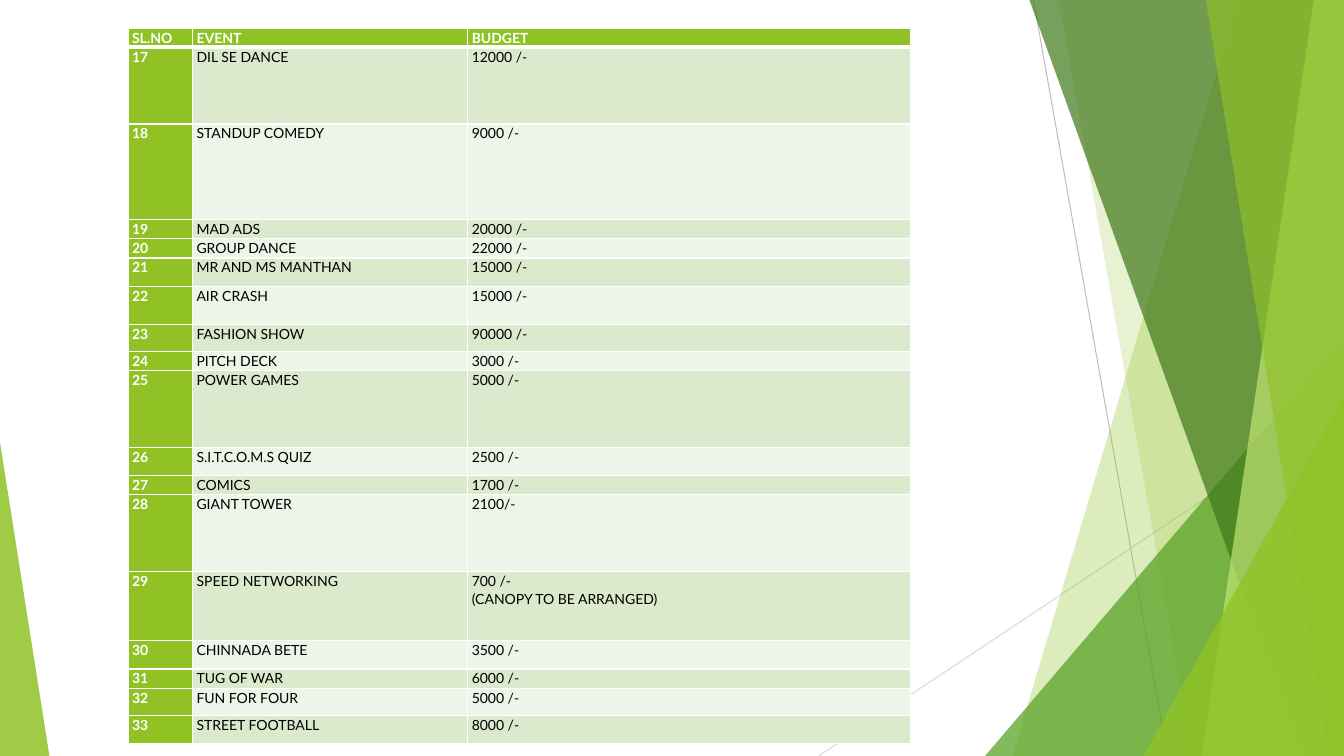
from pptx import Presentation
from pptx import util as u
from pptx.dml.color import RGBColor
from pptx.enum import shapes
from pptx.oxml import parse_xml
from pptx.oxml.ns import nsdecls, qn
from lxml import etree

WIDTH, HEIGHT = 13.33, 7.5
GREEN, WHITE, BLACK = "90C226", "FFFFFF", "000000"
BANDS = ("DBE9CD", "EEF4E8")
FONT = "Lato"

# Number, event, budget, row height
HEADER = ("SL.NO", "EVENT", "BUDGET", 0.19)
EVENTS = [
    ("17", "DIL SE DANCE", "12000 /-", 0.76),
    ("18", "STANDUP COMEDY", "9000 /-", 0.95),
    ("19", "MAD ADS", "20000 /-", 0.19),
    ("20", "GROUP DANCE", "22000 /-", 0.19),
    ("21", "MR AND MS MANTHAN", "15000 /-", 0.28),
    ("22", "AIR CRASH", "15000 /-", 0.38),
    ("23", "FASHION SHOW", "90000 /-", 0.27),
    ("24", "PITCH DECK", "3000 /-", 0.19),
    ("25", "POWER GAMES", "5000 /-", 0.76),
    ("26", "S.I.T.C.O.M.S QUIZ", "2500 /-", 0.28),
    ("27", "COMICS", "1700 /-", 0.19),
    ("28", "GIANT TOWER", "2100/-", 0.76),
    ("29", "SPEED NETWORKING", "700 /-\n(CANOPY TO BE ARRANGED)", 0.69),
    ("30", "CHINNADA BETE", "3500 /-", 0.28),
    ("31", "TUG OF WAR", "6000 /-", 0.19),
    ("32", "FUN FOR FOUR", "5000 /-", 0.27),
    ("33", "STREET FOOTBALL", "8000 /-", 0.28),
]
TABLE_LEFT, TABLE_TOP = 1.27, 0.28
COLUMNS = (0.64, 2.73, 4.39)

RAYS = [((10.25, 0), (11.58, HEIGHT), "BFBFBF"),
        ((WIDTH, 4.03), (8.12, HEIGHT), "D9D9D9")]
# Back to front. A blade reaches the right edge from (top x, bottom x);
# a peak stands on the bottom edge: (left, width, height, apex side).
FACETS = [
    ("blade", (12.28, 10.04), GREEN, 30),
    ("blade", (10.5, 11.83), GREEN, 20),
    ("peak", (9.77, 3.56, 4.17, 1), "54A021", 72),
    ("blade", (10.21, 12.91), "3F7819", 70),
    ("blade", (13.03, 11.92), "C0E474", 70),
    ("blade", (11.96, 13.18), GREEN, 65),
    ("peak", (11.34, 1.99, 3.57, 1), GREEN, 80),
    ("peak", (0, 0.49, 3.11, 0), GREEN, 85),
]


def paint(target, colour):
    """Give a fill or a line one solid colour."""
    fill = target.fill
    fill.solid()
    fill.fore_color.rgb = RGBColor.from_string(colour)


def draw_ray(slide, start, end, colour):
    """Draw a thin straight line without a shadow."""
    ray = slide.shapes.add_connector(
        shapes.MSO_CONNECTOR.STRAIGHT, *map(u.Inches, start + end))
    paint(ray.line, colour)
    ray.line.width = u.Pt(0.75)
    etree.SubElement(ray._element.spPr, qn("a:effectLst"))


def draw_facet(slide, kind, size, colour, opacity):
    """Draw one translucent blade or peak."""
    if kind == "blade":
        top, bottom = size
        outline = [(top, 0), (WIDTH, 0), (WIDTH, HEIGHT), (bottom, HEIGHT)]
        points = [(u.Inches(x), u.Inches(y)) for x, y in outline]
        builder = slide.shapes.build_freeform(*points[0])
        builder.add_line_segments(points[1:], close=True)
        facet = builder.convert_to_shape()
    else:
        left, width, height, apex = size
        facet = slide.shapes.add_shape(
            shapes.MSO_SHAPE.ISOSCELES_TRIANGLE,
            *map(u.Inches, (left, HEIGHT - height, width, height)))
        facet.adjustments[0] = apex
    facet.shadow.inherit = False
    facet.line.fill.background()
    paint(facet, colour)
    rgb = facet._element.spPr.find(".//" + qn("a:srgbClr"))
    etree.SubElement(rgb, qn("a:alpha"), val=str(opacity * 1000))


def border(cell, bottom):
    """Put white borders round a cell, the lower one as wide as asked."""
    props = cell._tc.get_or_add_tcPr()
    for index, (side, points) in enumerate(
            (("L", 1), ("R", 1), ("T", 1), ("B", bottom))):
        props.insert(index, parse_xml(
            f'<a:ln{side} {nsdecls("a")} w="{u.Pt(points)}"><a:solidFill>'
            f'<a:srgbClr val="{WHITE}"/></a:solidFill></a:ln{side}>'))


def fill_cell(cell, wording, back, strong, bottom):
    """Write one table cell and style it."""
    paint(cell, back)
    cell.margin_left = cell.margin_right = u.Inches(0.04)
    cell.margin_top = cell.margin_bottom = 0
    frame = cell.text_frame
    for index, line in enumerate(wording.split("\n")):
        paragraph = frame.add_paragraph() if index else frame.paragraphs[0]
        paragraph.line_spacing = 1.07
        run = paragraph.add_run()
        run.text = line
        run.font.name, run.font.size, run.font.bold = FONT, u.Pt(10), strong
        run.font.color.rgb = RGBColor.from_string(WHITE if strong else BLACK)
    border(cell, bottom)


def draw_budget(slide):
    """Build the budget table with its header and banded rows."""
    rows = [HEADER] + EVENTS
    frame = slide.shapes.add_table(
        len(rows), len(COLUMNS), u.Inches(TABLE_LEFT), u.Inches(TABLE_TOP),
        u.Inches(sum(COLUMNS)), u.Inches(sum(row[-1] for row in rows)))
    budget = frame.table
    for column, width in zip(budget.columns, COLUMNS):
        column.width = u.Inches(width)
    for r, (*wordings, height) in enumerate(rows):
        budget.rows[r].height = u.Inches(height)
        for c, wording in enumerate(wordings):
            strong = r == 0 or c == 0
            back = GREEN if strong else BANDS[(r - 1) % 2]
            fill_cell(budget.cell(r, c), wording, back, strong,
                      1 if r else 3)


deck = Presentation()
deck.slide_width, deck.slide_height = u.Inches(WIDTH), u.Inches(HEIGHT)
slide = deck.slides.add_slide(deck.slide_layouts[6])
for ray in RAYS:
    draw_ray(slide, *ray)
for facet in FACETS:
    draw_facet(slide, *facet)
draw_budget(slide)
deck.save("out.pptx")
